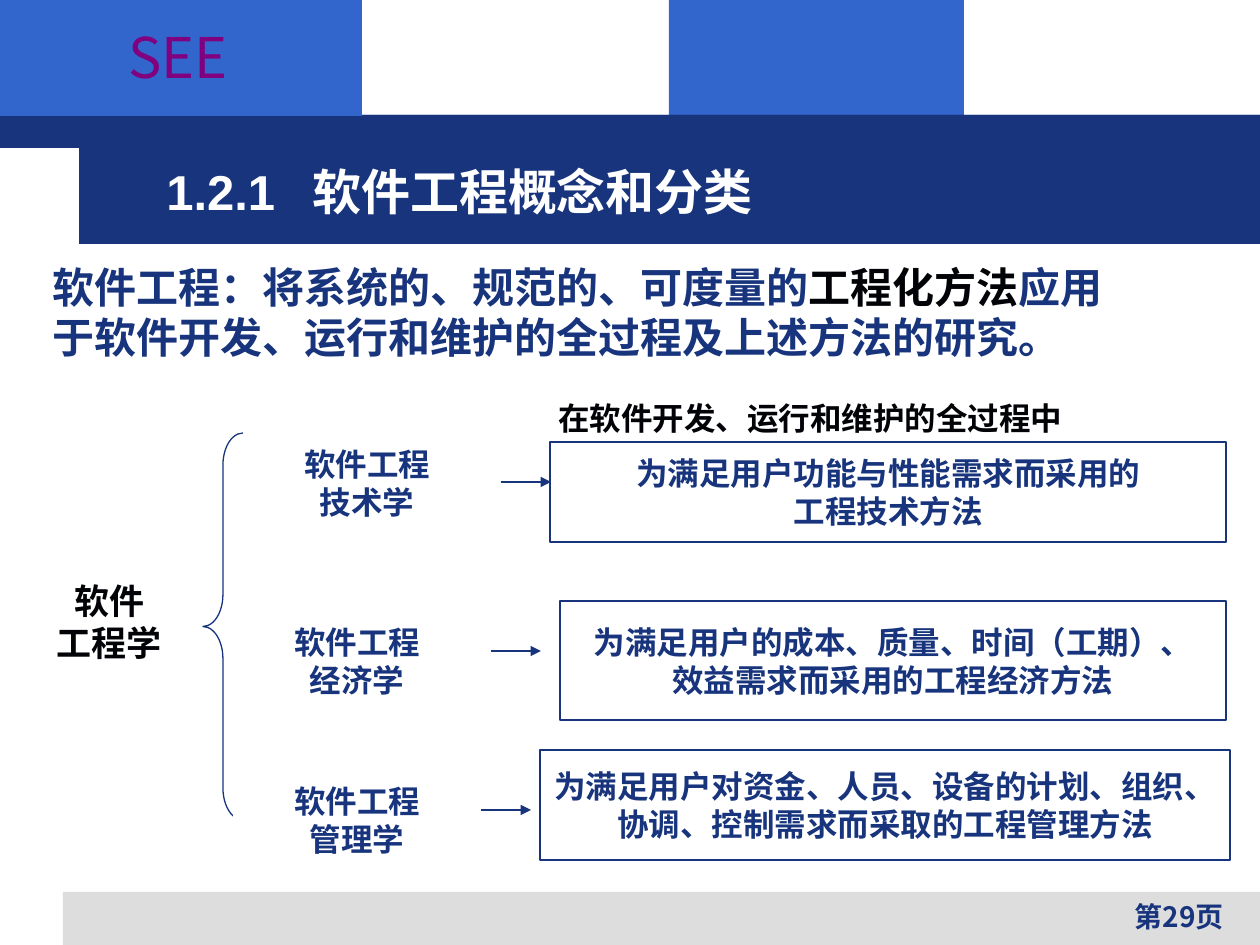
from lxml import etree
from pptx import Presentation
from pptx import util as u
from pptx.dml.color import RGBColor
from pptx.enum import shapes, text
from pptx.oxml.ns import qn

PX = 914400 / 126
BLUE = RGBColor(0x33, 0x66, 0xCC)
NAVY = RGBColor(0x17, 0x34, 0x7D)
GREY = RGBColor(0xDD, 0xDD, 0xDD)
WHITE = RGBColor(0xFF, 0xFF, 0xFF)
BLACK = RGBColor(0x01, 0x03, 0x07)
PURPLE = RGBColor(0x80, 0x00, 0x80)
ARIAL = "Arial"
NOTO = "Noto Sans CJK SC"
LEFT, MID, RIGHT = (text.PP_ALIGN.LEFT, text.PP_ALIGN.CENTER,
                    text.PP_ALIGN.RIGHT)

# label left, top, lines; arrow left, y; box place; box lines
BRANCHES = [
    ((243, 433), "技术学", (501, 482), (550, 442, 676, 100),
     ["为满足用户功能与性能需求而采用的", "工程技术方法"]),
    ((233, 611), "经济学", (491, 651), (560, 601, 666, 119),
     ["为满足用户的成本、质量、时间（工期）、", "效益需求而采用的工程经济方法"]),
    ((233, 770), "管理学", (481, 810), (540, 750, 690, 110),
     ["为满足用户对资金、人员、设备的计划、组织、", "协调、控制需求而采取的工程管理方法"]),
]


def px(n):
    return u.Emu(round(n * PX))


def shape(slide, place, fill=None, line=None, kind=shapes.MSO_SHAPE.RECTANGLE):
    item = slide.shapes.add_shape(kind, *map(px, place))
    item.shadow.inherit = False
    if fill is None:
        item.fill.background()
    else:
        item.fill.solid()
        item.fill.fore_color.rgb = fill
    if line is None:
        item.line.fill.background()
    else:
        item.line.color.rgb = line
        item.line.width = u.Pt(0.75)
    return item


def write(item, lines, size, color, font=ARIAL, align=MID, bold=True,
          wrap=False, tab=None):
    """Each line is a string or a list of (words, color) runs."""
    frame = item.text_frame
    frame.word_wrap = wrap
    for i, line in enumerate(lines):
        para = frame.paragraphs[0] if i == 0 else frame.add_paragraph()
        para.alignment = align
        if tab:
            stops = etree.SubElement(para._p.get_or_add_pPr(), qn("a:tabLst"))
            etree.SubElement(stops, qn("a:tab"), pos=str(px(tab)), algn="l")
        para.font.name = font
        para.font.size = u.Pt(size)
        para.font.bold = bold
        para.font.color.rgb = color
        runs = [(line, None)] if isinstance(line, str) else line
        for words, tint in runs:
            run = para.add_run()
            run.text = words
            if tint is not None:
                run.font.color.rgb = tint


def label(slide, place, lines, size, color, **style):
    box = slide.shapes.add_textbox(*map(px, place))
    write(box, lines, size, color, **{"align": LEFT, "wrap": True, **style})


def arrow(slide, left, y):
    line = slide.shapes.add_connector(
        shapes.MSO_CONNECTOR.STRAIGHT, px(left), px(y), px(left + 50), px(y))
    line.line.color.rgb = NAVY
    line.line.width = u.Pt(0.75)
    etree.SubElement(line.line._get_or_add_ln(), qn("a:tailEnd"),
                     type="triangle")
    etree.SubElement(line._element.spPr, qn("a:effectLst"))


def frame(slide):
    for place, fill in [((669, 0, 295, 116), BLUE),
                        ((63, 892, 1197, 53), GREY),
                        ((0, 115, 1260, 33), NAVY),
                        ((79, 115, 1181, 129), NAVY),
                        ((0, 0, 362, 116), BLUE)]:
        shape(slide, place, fill)
    label(slide, (44, 16, 268, 89), ["SEE"], 32, PURPLE, font=NOTO,
          bold=False, align=MID)
    label(slide, (799, 893, 437, 52), ["第29页"], 16, NAVY, font=NOTO,
          align=RIGHT)


def tree(slide):
    root = shape(slide, (25, 572, 169, 100), WHITE, WHITE)
    write(root, ["软件", "工程学"], 20, BLACK)
    brace = shape(slide, (203, 433, 40, 387), None, NAVY,
                  shapes.MSO_SHAPE.LEFT_BRACE)
    brace.adjustments[0] = 0.8
    for spot, name, start, place, lines in BRANCHES:
        topic = shape(slide, (*spot, 248, 100), WHITE)
        write(topic, ["软件工程", name], 18, NAVY)
        write(shape(slide, place, None, NAVY), lines, 18, NAVY)
        arrow(slide, *start)


def main():
    deck = Presentation()
    deck.slide_width, deck.slide_height = px(1260), px(945)
    slide = deck.slides.add_slide(deck.slide_layouts[6])
    # Bands, mark and page number
    frame(slide)
    # Title and definition
    label(slide, (154, 155, 953, 72), ["1.2.1\t软件工程概念和分类"], 28, WHITE,
          tab=146)
    label(slide, (40, 255, 1169, 113),
          [[("软件工程：将系统的、规范的、可度量的", None),
            ("工程化方法", BLACK), ("应用", None)],
           "于软件开发、运行和维护的全过程及上述方法的研究。"],
          24, NAVY, font=NOTO)
    # Branches of the discipline
    tree(slide)
    label(slide, (546, 393, 624, 50), ["在软件开发、运行和维护的全过程中"],
          18, BLACK)
    deck.save("out.pptx")


if __name__ == "__main__":
    main()
